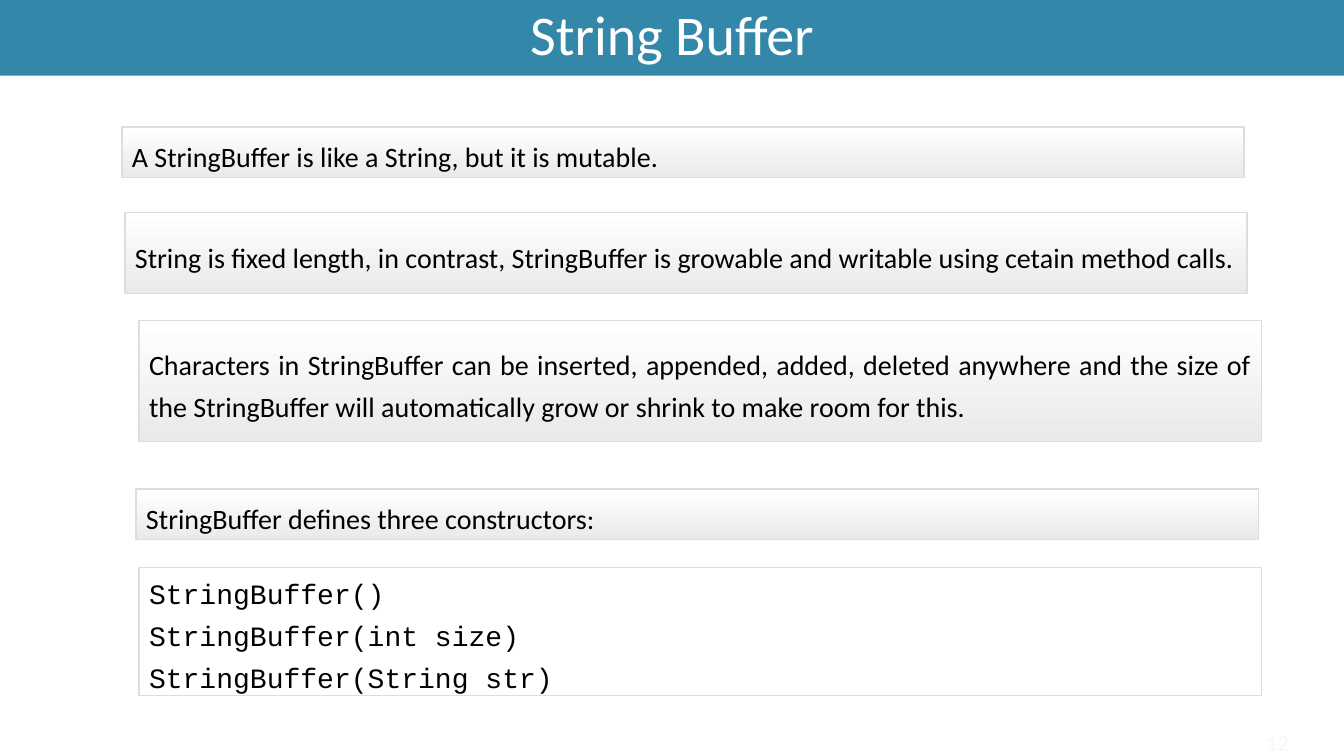
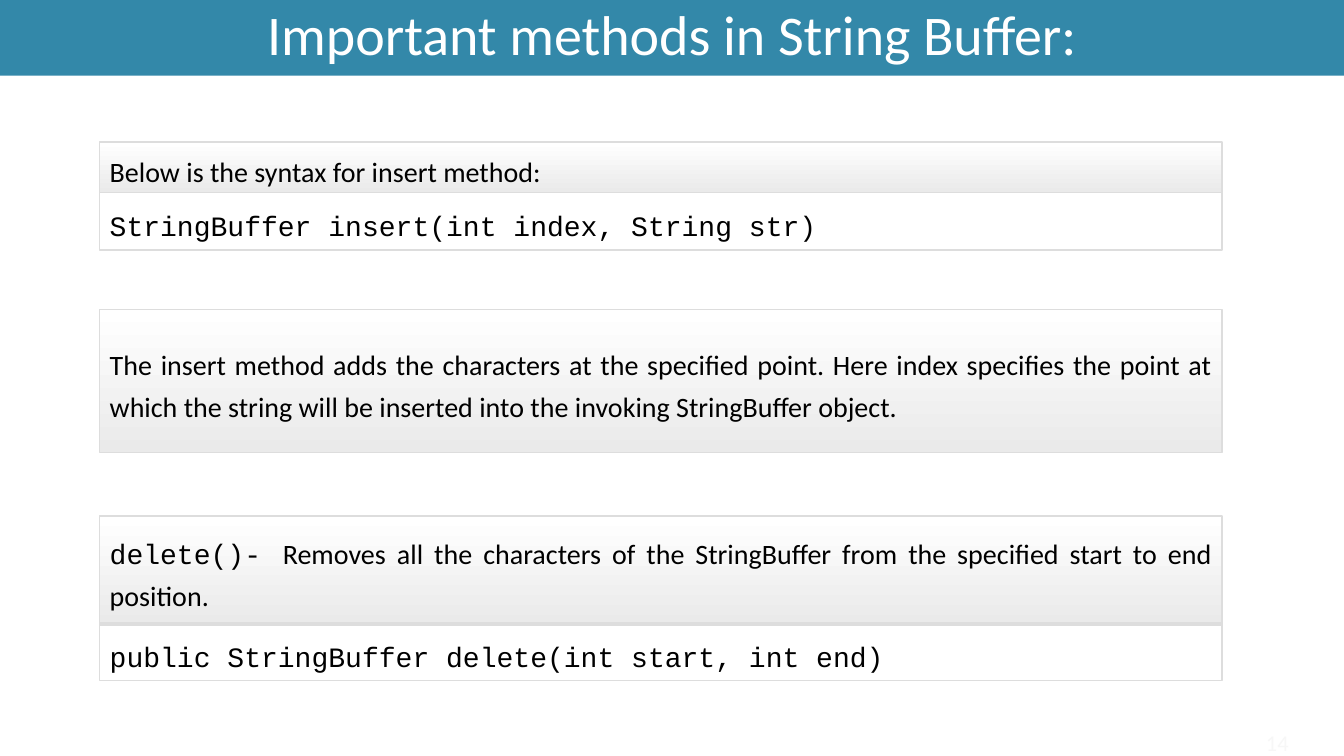
from pptx import Presentation
from pptx.dml.color import RGBColor
from pptx.enum.shapes import MSO_SHAPE
from pptx.enum.text import MSO_ANCHOR, MSO_AUTO_SIZE, PP_ALIGN
from pptx.util import Inches, Pt

RECTANGLE = MSO_SHAPE.RECTANGLE
MIDDLE = MSO_ANCHOR.MIDDLE
NO_AUTOFIT = MSO_AUTO_SIZE.NONE
CENTER, RIGHT, JUSTIFY = PP_ALIGN.CENTER, PP_ALIGN.RIGHT, PP_ALIGN.JUSTIFY

# Shared look
BAND, WHITE, BLACK = "3388A9", "FFFFFF", "000000"
PANEL_END, BORDER, FAINT = "EAEAEA", "DDDDDD", "F7F7F7"
PROSE, CODE = "Calibri", "Courier New"
SLIDE_W, SLIDE_H = 13.33, 7.5
BAND_H = 0.75
PANEL_W = 11.13
LINE_H = 0.5  # height of a one-line panel
CODE_H = 0.57  # height of a one-line code box


def color(hex_value):
    return RGBColor.from_string(hex_value)


def write(shape, paragraphs, size=20, ink=BLACK, align=JUSTIFY,
          spacing=Pt(30), inset=0.1):
    """Each paragraph is a list of (text, font) runs."""
    frame = shape.text_frame
    frame.word_wrap = True
    frame.auto_size = NO_AUTOFIT
    frame.vertical_anchor = MIDDLE
    frame.margin_left = frame.margin_right = Inches(0.1)
    frame.margin_top = frame.margin_bottom = Inches(inset)
    for index, runs in enumerate(paragraphs):
        paragraph = frame.add_paragraph() if index else frame.paragraphs[0]
        paragraph.alignment = align
        paragraph.line_spacing = spacing
        for text, font in runs:
            run = paragraph.add_run()
            run.text = text
            run.font.name = font
            run.font.size = Pt(size)
            run.font.color.rgb = color(ink)


def add_box(slide, left, top, height, paragraphs):
    box = slide.shapes.add_shape(RECTANGLE, Inches(left), Inches(top),
                                 Inches(PANEL_W), Inches(height))
    box.shadow.inherit = False
    box.fill.background()
    box.line.color.rgb = color(BORDER)
    box.line.width = Pt(1)
    write(box, paragraphs)
    return box


def add_panel(slide, left, top, height, *runs):
    """Explanation on a white-to-grey gradient."""
    panel = add_box(slide, left, top, height, [runs])
    panel.fill.gradient()
    panel.fill.gradient_angle = 270
    for stop, shade in zip(panel.fill.gradient_stops, (WHITE, PANEL_END)):
        stop.color.rgb = color(shade)


def add_code(slide, left, top, height, *lines):
    add_box(slide, left, top, height, [[(line, CODE)] for line in lines])


def start_slide(deck, heading, number):
    slide = deck.slides.add_slide(deck.slide_layouts[5])
    # Title band
    title = slide.shapes.title
    title.left, title.top = Inches(0), Inches(0)
    title.width, title.height = Inches(SLIDE_W), Inches(BAND_H)
    title.fill.solid()
    title.fill.fore_color.rgb = color(BAND)
    write(title, [[(heading, PROSE)]], size=40, ink=WHITE, align=CENTER,
          spacing=0.9, inset=0.05)
    # Page number
    page = slide.shapes.add_textbox(Inches(12.18), Inches(SLIDE_H - 0.26),
                                    Inches(0.7), Inches(0.26))
    write(page, [[(number, PROSE)]], size=16, ink=FAINT, align=RIGHT,
          spacing=1.0, inset=0)
    return slide


def build_overview(deck):
    slide = start_slide(deck, "String Buffer", "12")
    # Properties and the constructor heading
    statements = [
        (1.21, 1.26, LINE_H,
         "A StringBuffer is like a String, but it is mutable."),
        (1.24, 2.11, 0.8,
         "String is fixed length, in contrast, StringBuffer is growable and "
         "writable using cetain method calls."),
        (1.38, 3.18, 1.2,
         "Characters in StringBuffer can be inserted, appended, added, deleted "
         "anywhere and the size of the StringBuffer will automatically grow or "
         "shrink to make room for this."),
        (1.35, 4.85, LINE_H, "StringBuffer defines three constructors:"),
    ]
    for left, top, height, text in statements:
        add_panel(slide, left, top, height, (text, PROSE))
    # Constructors
    add_code(slide, 1.38, 5.63, 1.27, "StringBuffer()",
             "StringBuffer(int size)", "StringBuffer(String str)")


def build_methods(deck):
    slide = start_slide(deck, "Important methods in String Buffer:", "14")
    left = 0.99
    # insert: syntax, then meaning
    insert_top = 1.41
    add_panel(slide, left, insert_top, LINE_H,
              ("Below is the syntax for insert method:", PROSE))
    add_code(slide, left, insert_top + LINE_H, CODE_H,
             "StringBuffer insert(int index, String str)")
    add_panel(slide, left, 3.07, 1.42,
              ("The insert method adds the characters at the specified point. "
               "Here index specifies the point at which the string will be "
               "inserted into the invoking StringBuffer object.", PROSE))
    # delete: meaning, then syntax
    delete_top, delete_h = 5.12, 1.08
    add_panel(slide, left, delete_top, delete_h, ("delete()- ", CODE),
              ("Removes all the characters of the StringBuffer from the "
               "specified start to end position.", PROSE))
    add_code(slide, left, delete_top + delete_h - 0.02, CODE_H,
             "public StringBuffer delete(int\u00a0start, int\u00a0end)")


deck = Presentation()
deck.slide_width, deck.slide_height = Inches(SLIDE_W), Inches(SLIDE_H)
build_overview(deck)
build_methods(deck)
deck.save("out.pptx")
